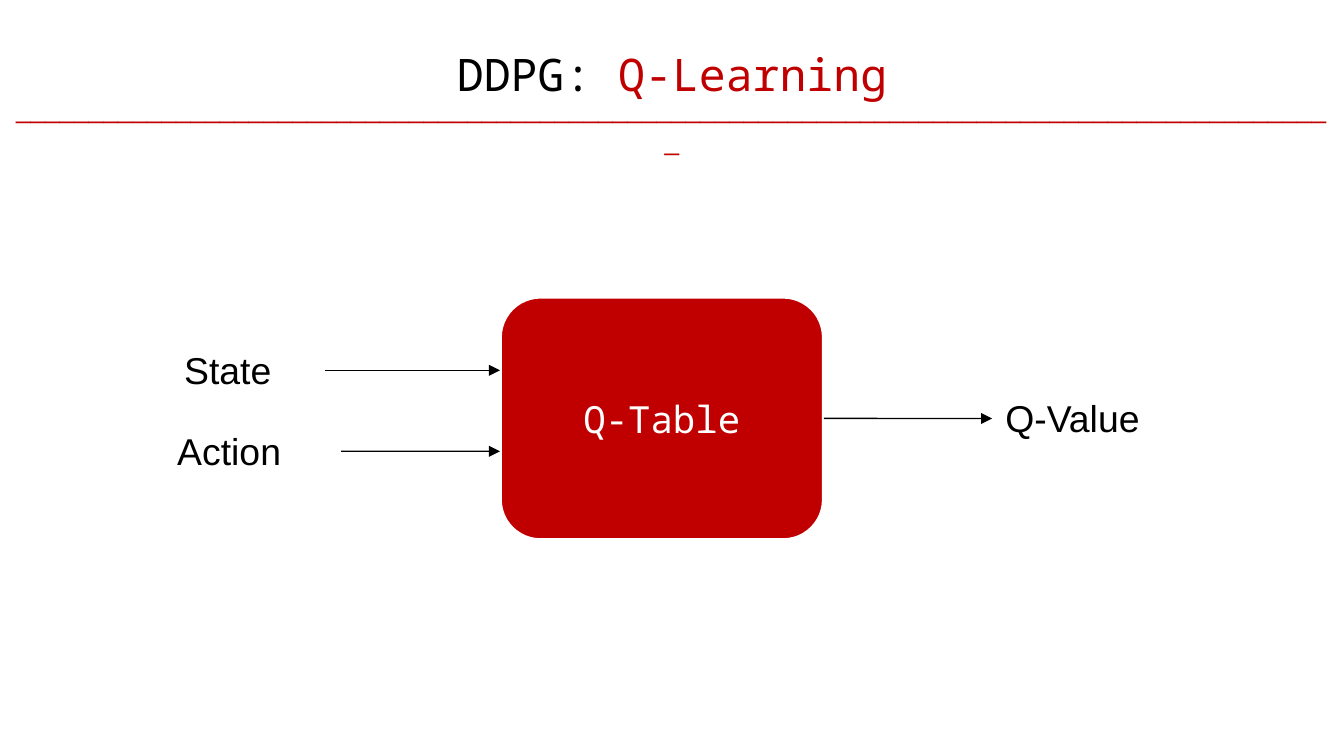
from lxml.etree import SubElement
from pptx import Presentation
from pptx.dml.color import RGBColor
from pptx.enum.shapes import MSO_CONNECTOR, MSO_SHAPE
from pptx.enum.text import MSO_ANCHOR, MSO_AUTO_SIZE, PP_ALIGN
from pptx.oxml.ns import qn
from pptx.util import Cm, Pt

BLACK, RED, WHITE = "000000", "C00000", "FFFFFF"
MONO, SANS = "Noto Sans Mono", "Arial"
LABEL_HEIGHT = 1.12
TOP, LEFT, BOTTOM, RIGHT = range(4)


def color(hex_string):
    return RGBColor.from_string(hex_string)


def set_attributes(target, values):
    for name, value in values.items():
        setattr(target, name, value)


def place(shape, box):
    names = ("left", "top", "width", "height")
    set_attributes(shape, dict(zip(names, map(Cm, box))))


def write(shape, runs, size, font, align=PP_ALIGN.CENTER, **frame_format):
    """Fill a shape with one paragraph of (text, colour) runs."""
    frame = shape.text_frame
    set_attributes(frame, {"word_wrap": True,
                           "vertical_anchor": MSO_ANCHOR.TOP,
                           "auto_size": MSO_AUTO_SIZE.SHAPE_TO_FIT_TEXT,
                           **frame_format})
    paragraph = frame.paragraphs[0]
    paragraph.alignment = align
    for text, hex_string in runs:
        run = paragraph.add_run()
        run.text = text
        set_attributes(run.font, {"size": Pt(size), "name": font})
        run.font.color.rgb = color(hex_string)


def add_text(slide, box, text, size, hex_string, align):
    shape = slide.shapes.add_textbox(*map(Cm, box))
    write(shape, [(text, hex_string)], size, SANS, align)
    return shape


def add_arrow(slide, start, end):
    arrow = slide.shapes.add_connector(
        MSO_CONNECTOR.STRAIGHT, *map(Cm, (*start, *end)))
    arrow.line.color.rgb = color(BLACK)
    arrow.line.width = Pt(0.75)
    SubElement(arrow.line._get_or_add_ln(), qn("a:tailEnd"), type="triangle")
    SubElement(arrow._element.spPr, qn("a:effectLst"))
    return arrow


def add_heading(slide, box):
    """Place the title with its row of underscores below."""
    left, top, width, height = box
    title = slide.shapes.title
    place(title, (left + 0.1, top, width - 0.2, height))
    write(title, [("DDPG: ", BLACK), ("Q-Learning", RED)], 24, MONO)
    add_text(slide, (left, top + 0.87, width, 0.86), "_" * 91, 14, RED,
             PP_ALIGN.CENTER)


def add_q_table_diagram(slide, box):
    """Place the table block with its inputs on the left and output on the right."""
    left, top, width, height = box
    middle = top + height / 2
    block = slide.shapes.add_shape(MSO_SHAPE.ROUNDED_RECTANGLE, *map(Cm, box))
    block.shadow.inherit = False
    block.fill.solid()
    block.fill.fore_color.rgb = color(RED)
    block.line.color.rgb = color(WHITE)
    block.line.width = Pt(2)
    write(block, [("Q-Table", WHITE)], 20, MONO,
          vertical_anchor=MSO_ANCHOR.MIDDLE, auto_size=MSO_AUTO_SIZE.NONE)

    def add_label(text, label_left, label_middle, label_width):
        label_box = (label_left, label_middle - LABEL_HEIGHT / 2,
                     label_width, LABEL_HEIGHT)
        return add_text(slide, label_box, text, 20, BLACK, PP_ALIGN.LEFT)

    inputs = [("State", 6.22, -0.91, 2.92), ("Action", 6.35, 0.62, 3.35)]
    for text, distance, offset, label_width in inputs:
        label_left, label_middle = left - distance, middle + offset
        label = add_label(text, label_left, label_middle, label_width)
        arrow = add_arrow(slide, (label_left + label_width, label_middle),
                          (left, label_middle))
        arrow.begin_connect(label, RIGHT)

    right = left + width
    output_left = right + 3.18
    output = add_label("Q-Value", output_left, middle, 4.22)
    arrow = add_arrow(slide, (right, middle), (output_left, middle))
    arrow.begin_connect(block, RIGHT)
    arrow.end_connect(output, LEFT)


def main():
    presentation = Presentation()
    set_attributes(presentation, {"slide_width": Cm(25.4),
                                  "slide_height": Cm(14.29)})
    slide = presentation.slides.add_slide(presentation.slide_layouts[5])
    add_heading(slide, (0, 0.76, 25.4, 1.27))
    add_q_table_diagram(slide, (9.45, 5.61, 6.12, 4.6))
    presentation.save("out.pptx")


if __name__ == "__main__":
    main()
